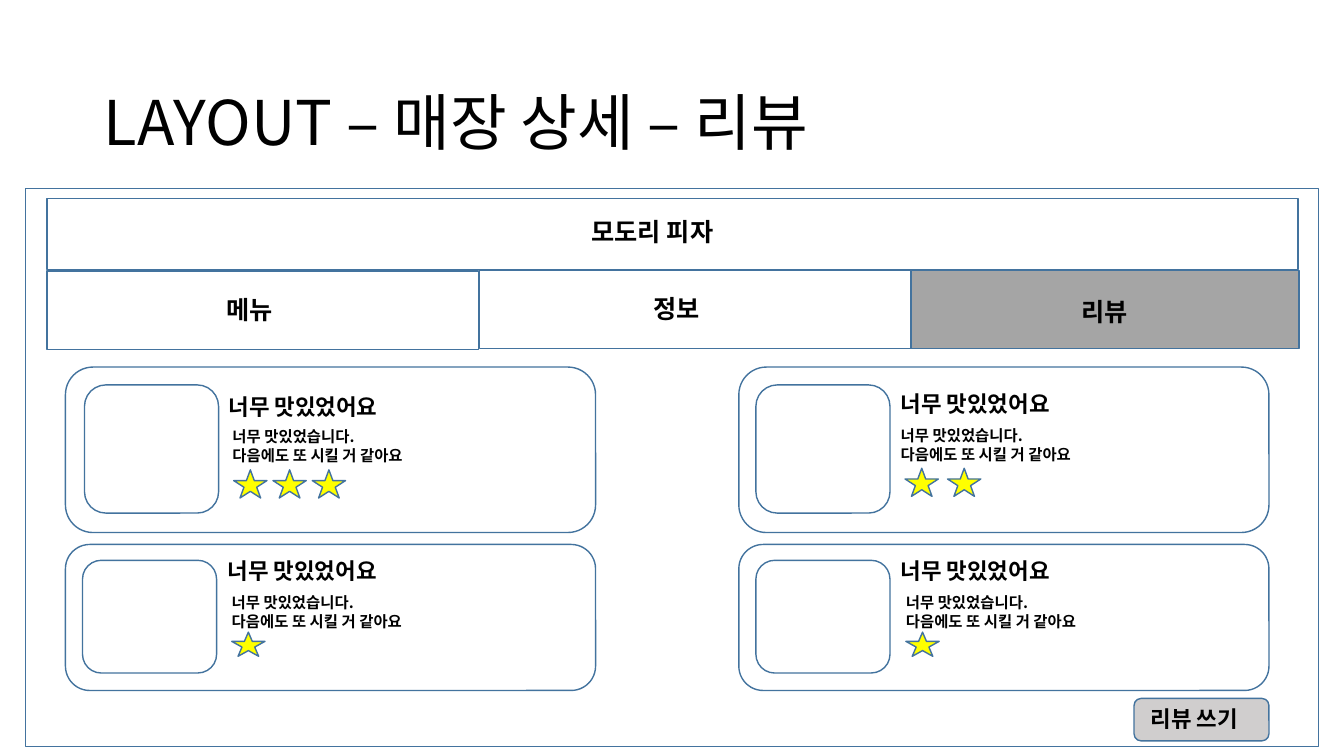
from pptx import Presentation
from pptx.dml.color import RGBColor
from pptx.enum.shapes import MSO_SHAPE as SHAPE
from pptx.enum.text import MSO_ANCHOR, MSO_AUTO_SIZE as FIT, PP_ALIGN
from pptx.oxml.ns import qn
from pptx.util import Cm, Pt
from lxml.etree import SubElement

# Content
TITLE = "LAYOUT – 매장 상세 – 리뷰"
STORE = "모도리 피자"
BUTTON = "리뷰 쓰기"
HEADLINE = "너무 맛있었어요"
COMMENT = ["너무 맛있었습니다.", "다음에도 또 시킬 거 같아요"]

# Tabs: label, fill, box (left, top, width), label position
TABS = [
    ("메뉴", "white", (1.19, 6.83, 10.87), (5.46, 7.29)),
    ("정보", "white", (12.09, 6.81, 10.87), (16.21, 7.26)),
    ("리뷰", "active", (22.96, 6.81, 9.78), (27.0, 7.34)),
]

# Rows of review cards: top, height, photo top, photo height, star height
ROWS = [(9.25, 4.17, 9.7, 3.23, 0.71), (13.72, 3.68, 14.12, 2.84, 0.61)]

# Reviews: row, card left, photo left, headline, comment, first star, star count, star step
REVIEWS = [
    (0, 1.65, 2.13, (5.51, 9.78), (5.61, 10.64), (5.89, 11.84), 3, 0.99),
    (0, 18.62, 19.05, (22.45, 9.7), (22.45, 10.62), (22.81, 11.8), 2, 1.07),
    (1, 1.65, 2.08, (5.49, 13.92), (5.59, 14.83), (5.84, 15.93), 1, 0),
    (1, 18.62, 19.05, (22.45, 13.92), (22.58, 14.83), (22.83, 15.93), 1, 0),
]

COLORS = {"white": "FFFFFF", "line": "43739E", "text": "000000",
          "active": "A5A5A5", "star": "FFFF00", "button": "D0CECE"}
FONT = "Noto Sans CJK KR"


def rgb(name):
    return RGBColor.from_string(COLORS[name])


def add_box(s, kind, left, top, width, height, fill="white"):
    sp = s.shapes.add_shape(kind, Cm(left), Cm(top), Cm(width), Cm(height))
    sp.shadow.inherit = False
    sp.fill.solid()
    sp.fill.fore_color.rgb = rgb(fill)
    sp.line.color.rgb = rgb("line")
    sp.line.width = Pt(1)


def format_paragraph(p, size, bold):
    p.alignment = PP_ALIGN.LEFT
    p.font.size = Pt(size)
    p.font.bold = bold
    p.font.color.rgb = rgb("text")
    p.font.name = FONT
    # Korean letters take the East Asian typeface
    props = p._p.pPr.find(qn("a:defRPr"))
    SubElement(props, qn("a:ea")).set("typeface", FONT)


def add_text(s, lines, left, top, width, height, size):
    tf = s.shapes.add_textbox(Cm(left), Cm(top), Cm(width), Cm(height)).text_frame
    tf.word_wrap = True
    tf.auto_size = FIT.SHAPE_TO_FIT_TEXT
    tf.text = "\n".join(lines)
    for p in tf.paragraphs:
        format_paragraph(p, size, True)


def add_title(s):
    title = s.shapes.title
    title.left, title.top, title.width, title.height = Cm(2.36), Cm(1.32), Cm(29.21), Cm(3.68)
    tf = title.text_frame
    tf.text = TITLE
    tf.auto_size = FIT.NONE
    tf.vertical_anchor = MSO_ANCHOR.MIDDLE
    p = tf.paragraphs[0]
    p.line_spacing = 0.9
    format_paragraph(p, 44, False)


def add_review(s, row, left, photo_left, headline, comment, star, count, step):
    top, height, photo_top, photo_height, star_height = ROWS[row]
    add_box(s, SHAPE.ROUNDED_RECTANGLE, left, top, 13.36, height)
    add_box(s, SHAPE.ROUNDED_RECTANGLE, photo_left, photo_top, 3.38, photo_height)
    add_text(s, [HEADLINE], *headline, 4.83, 0.94, 16)
    add_text(s, COMMENT, *comment, 7.85, 1.19, 11)
    for i in range(count):
        add_box(s, SHAPE.STAR_5_POINT, star[0] + i * step, star[1], 0.84, star_height, "star")


def main():
    prs = Presentation()
    prs.slide_width, prs.slide_height = Cm(33.87), Cm(19.05)
    s = prs.slides.add_slide(prs.slide_layouts[5])
    add_title(s)

    # Page frame and store header
    add_box(s, SHAPE.RECTANGLE, 0.64, 4.75, 32.59, 14.07)
    add_box(s, SHAPE.RECTANGLE, 1.19, 5.0, 31.52, 1.8)
    add_text(s, [STORE], 14.66, 5.33, 4.52, 1.02, 18)

    # Tabs
    for label, fill, box, position in TABS:
        add_box(s, SHAPE.RECTANGLE, *box, 1.98, fill)
        add_text(s, [label], *position, 2.41, 1.02, 18)

    # Review cards
    for review in REVIEWS:
        add_review(s, *review)

    # Write button
    add_box(s, SHAPE.ROUNDED_RECTANGLE, 28.58, 17.6, 3.4, 1.07, "button")
    add_text(s, [BUTTON], 28.75, 17.65, 3.12, 0.94, 16)

    prs.save("out.pptx")


if __name__ == "__main__":
    main()
